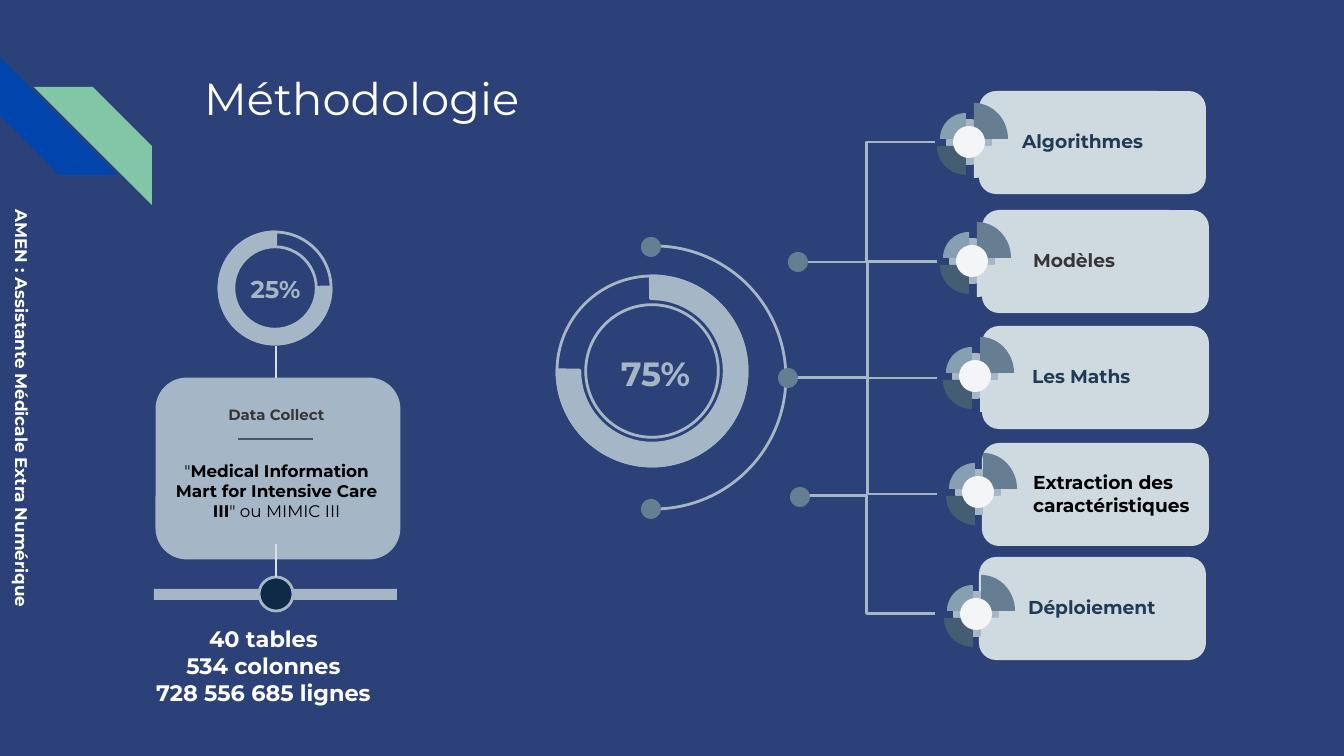
import math

import pptx
import pptx.dml.color
import pptx.enum.shapes
import pptx.enum.text
import pptx.oxml.ns
import pptx.util
from lxml import etree

RGBColor = pptx.dml.color.RGBColor
SHAPE = pptx.enum.shapes.MSO_SHAPE
LINE = pptx.enum.shapes.MSO_CONNECTOR
ALIGN = pptx.enum.text.PP_ALIGN
ANCHOR = pptx.enum.text.MSO_ANCHOR

PX = 914400 / 134.4
FONT = "Montserrat"
NAVY = RGBColor(0x2C, 0x41, 0x77)
BLUE = RGBColor(0x01, 0x45, 0xAC)
GREEN = RGBColor(0x82, 0xC7, 0xA5)
WHITE = RGBColor(0xFF, 0xFF, 0xFF)
BLACK = RGBColor(0, 0, 0)
CHARCOAL = RGBColor(0x36, 0x36, 0x36)
INK = RGBColor(0x21, 0x3B, 0x55)
DEEP = RGBColor(0x0E, 0x2A, 0x47)
STEEL = RGBColor(0xA5, 0xB7, 0xC6)
PALE = RGBColor(0xCF, 0xD9, 0xE0)
STEM = RGBColor(0xD7, 0xDF, 0xE5)
RULE = RGBColor(0x40, 0x56, 0x6D)
SLATE = RGBColor(0x66, 0x7E, 0x92)
DUSK = RGBColor(0x44, 0x5D, 0x73)
MIST = RGBColor(0x86, 0x9F, 0xB1)
HUB = RGBColor(0xF3, 0xF5, 0xF7)

# label, colour, card left and top, label left, emblem centre
CARDS = [
    ("Algorithmes", INK, 979, 91, 1009, (969, 142)),
    ("Modèles", CHARCOAL, 982, 210, 1020, (972, 261)),
    ("Les Maths", INK, 982, 326, 1019, (975, 376)),
    ("Extraction des caractéristiques", BLACK, 982, 443, 1020, (978, 492)),
    ("Déploiement", INK, 979, 557, 1015, (976, 614)),
]
CARD_W, CARD_H = 227, 103
# corner offset from the emblem centre, horizontal and vertical radius, colour
WEDGES = [
    (5, -3, 34, -36, SLATE),
    (-3, 4, -29, 29, DUSK),
    (5, 4, 30, 32, PALE),
    (-3, -3, -26, -26, MIST),
]
DOTS = [(651, 247), (651, 509), (788, 378), (800, 497), (798, 262)]
ELBOWS = [
    (798, 378, 937, 262), (798, 378, 937, 494),
    (798, 262, 935, 142), (935, 614, 798, 496),
]
STEMS = [(276, 346, 276, 378), (276, 544, 276, 577)]
GAUGES = [
    (219, 232, 112, 90, 0.132, "25%", 13, (233, 262, 85, 54)),
    (557, 276, 190, 0, 0.151, "75%", 18, (603, 337, 105, 73)),
]
FIGURES = ["40 tables", "534 colonnes", "728 556 685 lignes"]
DATASET = [
    ('"', False),
    ("Medical Information Mart for Intensive Care III", True),
    ('" ou MIMIC III', False),
]

prs = pptx.Presentation()
prs.slide_width, prs.slide_height = round(1344 * PX), round(756 * PX)
slide = prs.slides.add_slide(prs.slide_layouts[6])
slide.background.fill.solid()
slide.background.fill.fore_color.rgb = NAVY


def emu(*lengths):
    return [round(n * PX) for n in lengths]


def paint(s, fill, line=None):
    s.shadow.inherit = False
    if fill is None:
        s.fill.background()
    else:
        s.fill.solid()
        s.fill.fore_color.rgb = fill
    if line is None:
        s.line.fill.background()
    else:
        s.line.color.rgb = line
        s.line.width = pptx.util.Pt(1.5)
    return s


def shape(kind, box, fill, line=None, adj=(), rot=0):
    s = slide.shapes.add_shape(kind, *emu(*box))
    for i, value in enumerate(adj):
        s.adjustments[i] = value
    s.rotation = rot
    return paint(s, fill, line)


def disc(cx, cy, radius, fill, line=None):
    shape(SHAPE.OVAL, (cx - radius, cy - radius, 2 * radius, 2 * radius), fill, line)


def connect(kind, ends, color, width=1.5):
    s = slide.shapes.add_connector(kind, *emu(*ends))
    s.line.color.rgb = color
    s.line.width = pptx.util.Pt(width)
    etree.SubElement(s._element.spPr, pptx.oxml.ns.qn("a:effectLst"))


def text(box, paragraphs, size, color, align=ALIGN.LEFT, anchor=ANCHOR.MIDDLE, inset=13):
    s = slide.shapes.add_textbox(*emu(*box))
    tf = s.text_frame
    tf.word_wrap = True
    tf.vertical_anchor = anchor
    tf.margin_top = tf.margin_bottom = emu(inset)[0]
    for i, runs in enumerate(paragraphs):
        p = tf.add_paragraph() if i else tf.paragraphs[0]
        p.alignment = align
        for content, bold in runs:
            r = p.add_run()
            r.text = content
            r.font.name = FONT
            r.font.size = pptx.util.Pt(size)
            r.font.bold = bold
            r.font.color.rgb = color
    return s


def wedge(cx, cy, rx, ry, fill):
    angles = [math.radians(a) for a in range(0, 91, 5)]
    rim = [(cx + rx * math.cos(a), cy + ry * math.sin(a)) for a in angles]
    builder = slide.shapes.build_freeform(*emu(cx, cy), scale=1.0)
    builder.add_line_segments([emu(x, y) for x, y in rim], close=True)
    paint(builder.convert_to_shape(), fill)


def gauge(left, top, size, rot, ring, label, pt, label_box):
    box = (left, top, size, size)
    shape(SHAPE.DONUT, box, None, STEEL, [ring], rot)
    shape(SHAPE.BLOCK_ARC, box, STEEL, STEEL, [161.34, 108.42, 0.12], rot)
    text(label_box, [[(label, True)]], pt, STEEL, ALIGN.CENTER)


def card(label, color, left, top, label_left, center):
    cx, cy = center
    shape(SHAPE.ROUNDED_RECTANGLE, (left, top, CARD_W, CARD_H), PALE)
    disc(cx, cy, 23, STEEL)
    for dx, dy, rx, ry, fill in WEDGES:
        wedge(cx + dx, cy + dy, rx, ry, fill)
    disc(cx, cy, 16, HUB)
    text((label_left, top + 18, 187, 65), [[(label, True)]], 10, color)


shape(SHAPE.DIAGONAL_STRIPE, (0, 57, 118, 118), BLUE, rot=270)
stripe = shape(SHAPE.DIAGONAL_STRIPE, (34, 87, 118, 118), GREEN)
stripe._element.spPr.xfrm.set("flipH", "1")
text((191, 58, 558, 219), [[("Méthodologie", False)]], 24, WHITE, anchor=ANCHOR.TOP)

shape(SHAPE.ARC, (523, 246, 263, 263), None, STEEL, [162, 52.98])
shape(SHAPE.RECTANGLE, (154, 589, 243, 11), STEEL)
shape(SHAPE.ROUNDED_RECTANGLE, (157, 379, 242, 179), STEEL, STEEL)
disc(276, 594, 17, DEEP, STEEL)
for ends in STEMS:
    connect(LINE.STRAIGHT, ends, STEM, 0.75)
text((154, 425, 245, 132), [DATASET], 9, BLACK, ALIGN.CENTER)
connect(LINE.STRAIGHT, (238, 439, 313, 439), RULE)
text((190, 393, 173, 44), [[("Data Collect", True)]], 8, CHARCOAL, ALIGN.CENTER)

for ends in ELBOWS:
    connect(LINE.ELBOW, ends, STEEL)
connect(LINE.STRAIGHT, (798, 378, 937, 378), STEEL)
for item in GAUGES:
    gauge(*item)
for x, y in DOTS:
    disc(x, y, 10, SLATE)
for item in CARDS:
    card(*item)

banner = text((-188, 386, 431, 38), [[("AMEN : Assistante Médicale Extra Numérique", True)]],
              9, WHITE, ALIGN.RIGHT, ANCHOR.TOP)
banner.rotation = 90
p = banner.text_frame.paragraphs[0]
p.line_spacing = 1.15
p.space_after = pptx.util.Pt(16)
text((94, 618, 339, 95), [[(line, True)] for line in FIGURES],
     12, WHITE, ALIGN.CENTER, ANCHOR.TOP, inset=7)

prs.save("out.pptx")
